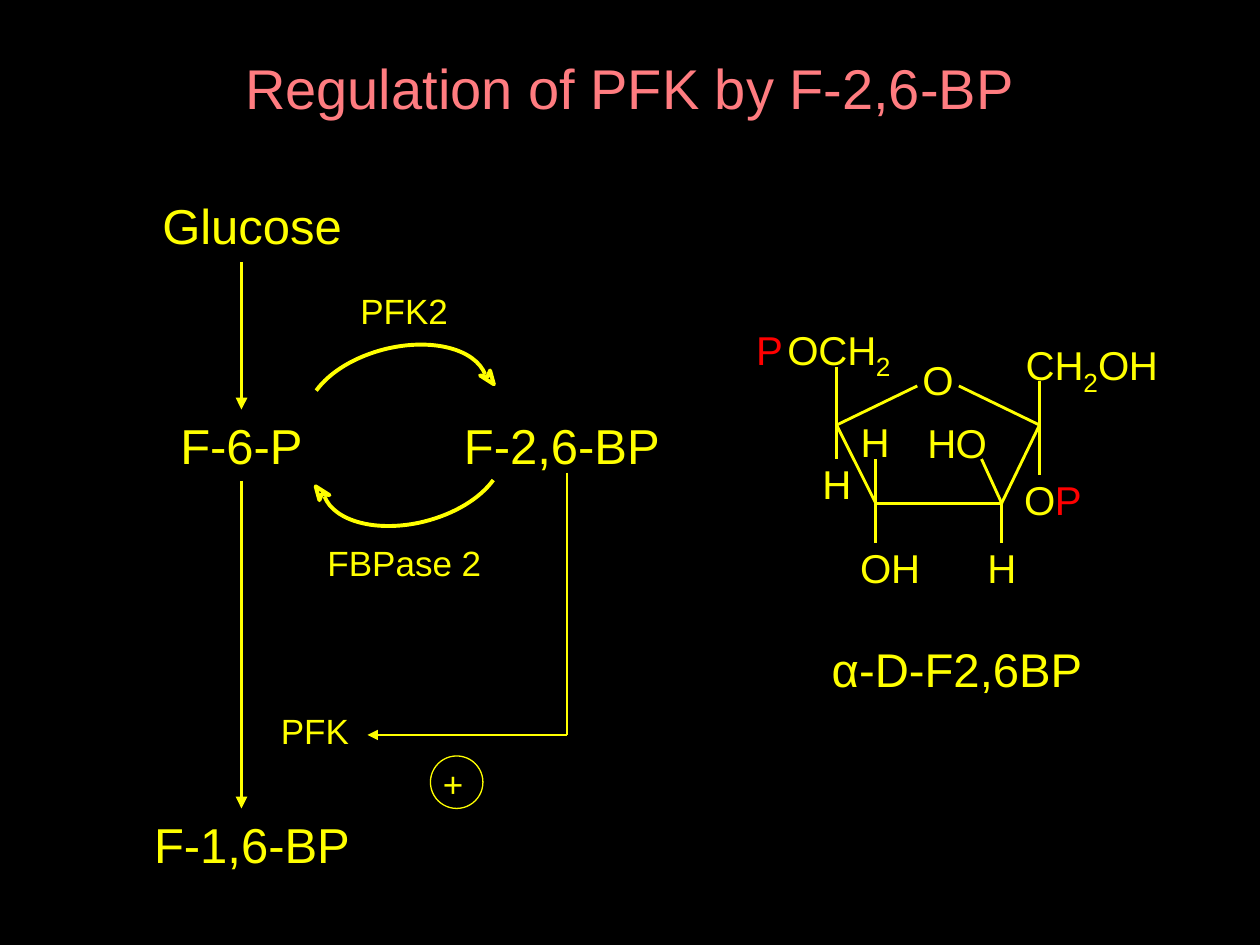
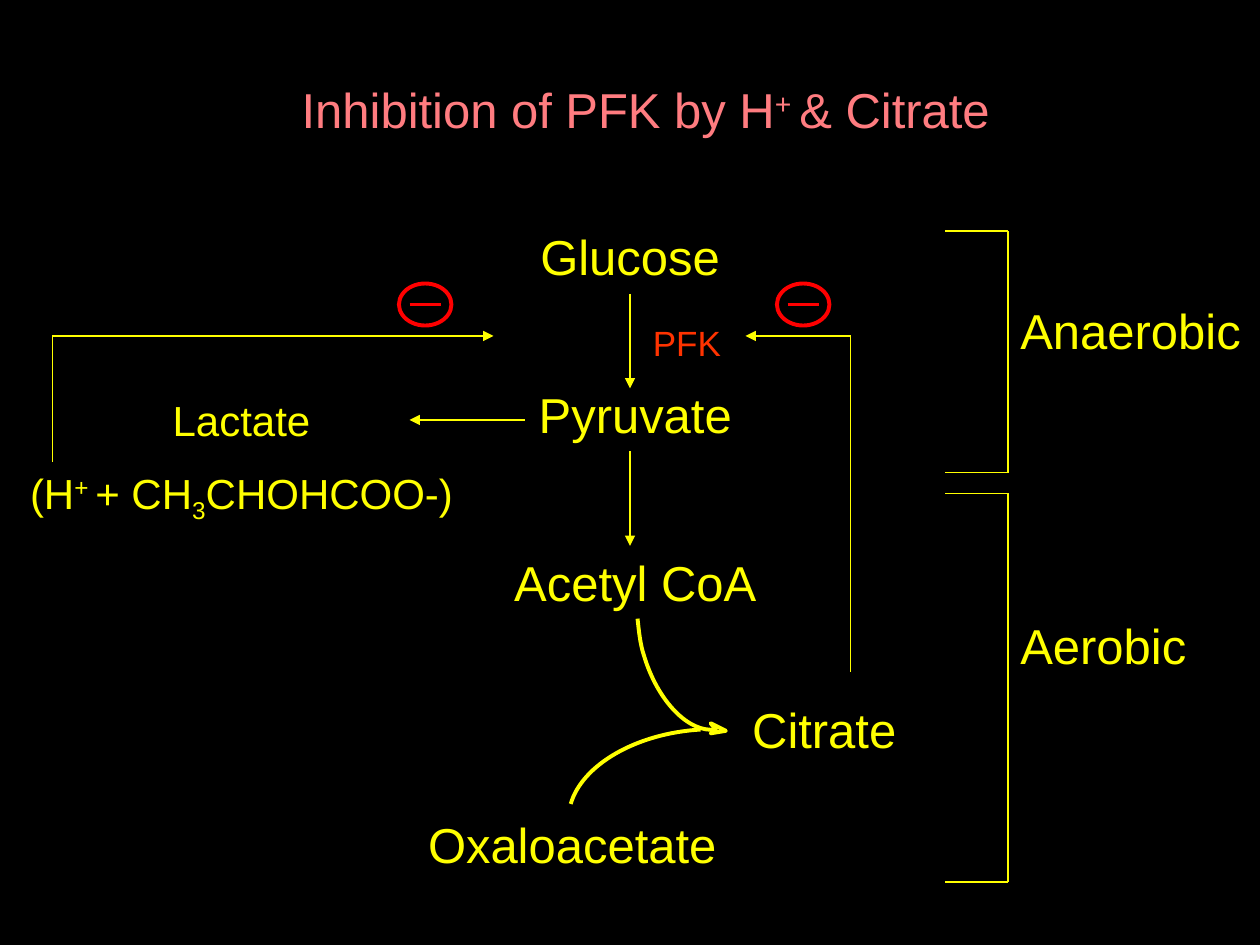
from lxml import etree
from pptx import Presentation
from pptx.dml.color import RGBColor
from pptx.enum.shapes import MSO_CONNECTOR, MSO_SHAPE
from pptx.enum.text import PP_ALIGN
from pptx.oxml.ns import qn
from pptx.util import Inches, Pt

LEFT, MID = PP_ALIGN.LEFT, PP_ALIGN.CENTER
STRAIGHT, OVAL = MSO_CONNECTOR.STRAIGHT, MSO_SHAPE.OVAL
TOP, BOTTOM = 0, 2
CELL = Inches(1) // 12
FONT = "Arial"
HUES = {"back": "000000", "ink": "FFFF00", "title": "FF7C80",
        "red": "FF0000", "flame": "FF3300"}
THIN, BOND, BOLD = 0.75, 1.63, 2.25
BIG, SMALL, ATOM = 28, 20, 23
SUP, SUB = 30, -25
WIDTHS = {"O": 24.5, "C": 23, "H": 22.5, "P": 21, "2": 12}


def hue(name):
    return RGBColor.from_string(HUES[name])


def stroke(line, color, weight):
    line.color.rgb = hue(color)
    line.width = Pt(weight)


class Pane:
    def __init__(self, slide, box, cols=None, rows=None):
        col, row, wide, high = box
        self.shapes = slide.shapes
        self.left, self.top = col * CELL, row * CELL
        self.dx = wide * CELL / (cols or wide)
        self.dy = high * CELL / (rows or high)

    def spot(self, x, y):
        return round(self.left + x * self.dx), round(self.top + y * self.dy)

    def text(self, x, y, wide, paras, size=BIG, color="ink", align=MID, pad=True, gap=0):
        inset = Inches(0.05) if pad else 0
        paras = [paras] if isinstance(paras, str) else paras
        high = round(len(paras) * Pt(size * 1.2) + 2 * inset + Pt(gap))
        box = self.shapes.add_textbox(*self.spot(x, y), round(wide * self.dx), high)
        frame = box.text_frame
        frame.word_wrap = pad
        frame.margin_top = frame.margin_bottom = inset
        frame.margin_left = frame.margin_right = 2 * inset
        for num, runs in enumerate(paras):
            para = frame.add_paragraph() if num else frame.paragraphs[0]
            para.alignment = align
            para.space_before = Pt(gap if num else 0)
            for words, base in [(runs, 0)] if isinstance(runs, str) else runs:
                run = para.add_run()
                run.text = words
                run.font.name, run.font.size = FONT, Pt(size)
                run.font.color.rgb = hue(color)
                if base:
                    run.font._element.set("baseline", str(base * 1000))
        return box

    def line(self, start, end, weight=THIN, color="ink", arrow=False):
        link = self.shapes.add_connector(STRAIGHT, *self.spot(*start), *self.spot(*end))
        stroke(link.line, color, weight)
        if arrow:
            etree.SubElement(link.line._get_or_add_ln(), qn("a:tailEnd"), type="triangle")
        etree.SubElement(link._element.spPr, qn("a:effectLst"))
        return link

    def route(self, points, arrow=False):
        last = len(points) - 2
        for num, (start, end) in enumerate(zip(points, points[1:])):
            self.line(start, end, arrow=arrow and num == last)

    def ring(self, x, y, wide, high, color="ink", weight=THIN):
        ring = self.shapes.add_shape(OVAL, *self.spot(x, y),
                                     round(wide * self.dx), round(high * self.dy))
        ring.shadow.inherit = False
        ring.fill.background()
        stroke(ring.line, color, weight)

    def minus(self, x, y):
        self.line((x + 1, y + 2), (x + 4, y + 2), BOLD, "red")
        self.ring(x, y, 5, 4, "red", BOLD)

    def trace(self, points, close):
        spots = [self.spot(*point) for point in points]
        pen = self.shapes.build_freeform(*spots[0])
        pen.add_line_segments(spots[1:], close=close)
        form = pen.convert_to_shape()
        form.shadow.inherit = False
        stroke(form.line, "ink", BOLD)
        return form

    def curve(self, points):
        form = self.trace(points, False)
        form.fill.background()
        node = form._element.xpath(".//a:path")[0]
        legs = list(node)[1:]
        for num in range(0, len(legs), 3):
            bend = etree.SubElement(node, qn("a:cubicBezTo"))
            for leg in legs[num:num + 3]:
                bend.append(leg[0])
                node.remove(leg)

    def head(self, points):
        form = self.trace(points, True)
        form.fill.solid()
        form.fill.fore_color.rgb = hue("back")

    def atoms(self, x, y, marks):
        boxes = []
        for mark in marks:
            low = mark == "2"
            boxes.append(self.text(x, y + 20 * low, WIDTHS[mark], mark, 15 if low else ATOM,
                                   "red" if mark == "P" else "ink", pad=False))
            x += WIDTHS[mark]
        return boxes


def start(deck, box, runs, size):
    slide = deck.slides.add_slide(deck.slide_layouts[6])
    fill = slide.background.fill
    fill.solid()
    fill.fore_color.rgb = hue("back")
    col, row, wide = box
    Pane(slide, (col, row, wide, 8)).text(0, 0, wide, [runs], size, "title")
    return slide


def pathway(slide, box):
    pane = Pane(slide, box)
    pane.text(0, 0, 38, "Glucose")
    first = pane.line((18, 7), (18, 21), BOLD, arrow=True)
    sugar = pane.text(9, 21, 18, "F-6-P")
    pane.text(35, 21, 27, "F-2,6-BP")
    pane.text(25, 9, 17, "PFK2", SMALL)
    second = pane.line((18, 28), (18, 59), BOLD, arrow=True)
    first.end_connect(sugar, TOP)
    second.begin_connect(sugar, BOTTOM)
    pane.text(4, 59, 30, "F-1,6-BP")
    pane.text(25, 33, 21, "FBPase 2", SMALL, align=LEFT)
    pane.text(15, 49, 20, "PFK", SMALL)
    pane.route([(49, 27), (49, 52), (30, 52)], arrow=True)
    pane.text(36, 54, 6, "+", SMALL, align=LEFT)
    pane.ring(36, 54, 5, 5)


def cycle(slide, box):
    pane = Pane(slide, box, 150, 200)
    bend = [(135, 47), (127, 27), (93, 18), (56, 27), (32, 33), (12, 45), (1, 60)]
    tip = [(131, 48), (142, 55), (139, 44), (137, 49)]
    pane.curve(bend)
    pane.head(tip)
    pane.curve([(142.5 - x, 191 - y) for x, y in bend])
    pane.head([(142.5 - x, 191 - y) for x, y in tip])


def sugar_ring(slide, box):
    pane = Pane(slide, box, 325, 300)
    west, east, south_w, south_e = (64, 79), (225, 79), (95, 141), (195, 141)
    pane.atoms(0, 0, "P")
    pane.atoms(25, 0, "OCH2")
    pane.atoms(132, 24, "O")
    pane.atoms(214, 12, "CH2OH")
    pane.atoms(83, 73, "H")
    pane.atoms(136, 74, "HO")
    bonds = [(south_w, south_e), (south_e, east), (east, (161, 48)),
             ((128, 48), west), (west, south_w), (west, (64, 33)),
             (south_w, (95, 106)), (south_e, (179, 106)), (east, (225, 44))]
    for near, far in bonds:
        pane.line(near, far, BOND)
    groups = [(west, 52.75, 106, "H"), (south_w, 82.75, 173, "OH"),
              (south_e, 183.75, 173, "H"), (east, 212.75, 119, "OP")]
    for node, x, y, marks in groups:
        mark = pane.atoms(x, y, marks)[0]
        pane.line(node, (node[0], y), BOND).end_connect(mark, TOP)
    pane.text(59, 250, 201, "α-D-F2,6BP", 27, pad=False)


def chain(slide, box):
    pane = Pane(slide, box)
    pane.text(0, 0, 46, "Glucose")
    pane.text(24, 9, 17, "PFK", SMALL, "flame", LEFT)
    pane.text(12, 15, 23, "Pyruvate")
    pane.text(9, 31, 29, "Acetyl CoA")
    pane.text(28, 45, 27, "Citrate")
    pane.text(0, 56, 35, "Oxaloacetate")
    for row in (7, 22):
        pane.line((23, row), (23, row + 9), arrow=True)


def merge(slide, box):
    pane = Pane(slide, box, 150, 200)
    pane.curve([(118, 104), (97, 107), (72, 82), (61, 45), (58, 36), (57, 25), (56, 16)])
    pane.head([(114, 99), (126, 105), (114, 107), (118, 104)])
    pane.curve([(3, 163), (12, 132), (55, 107), (106, 104)])


def acid_loop(slide, box):
    pane = Pane(slide, box)
    acid = [("(H", 0), ("+ ", SUP), ("+ CH", 0), ("3", SUB), ("CHOHCOO-)", 0)]
    pane.text(0, 10, 46, ["Lactate", acid], 24, gap=12.5)
    pane.line((50, 13), (39, 13), arrow=True)
    pane.route([(5, 17), (5, 5), (47, 5)], arrow=True)
    pane.minus(38, 0)


def citrate_loop(slide, box):
    pane = Pane(slide, box)
    pane.route([(10, 37), (10, 5), (0, 5)], arrow=True)
    pane.minus(3, 0)


def phase(slide, box, name, row):
    pane = Pane(slide, box)
    wide, high = box[2:]
    pane.route([(0, 0), (wide, 0), (wide, high), (0, high)])
    pane.text(wide, row, 24, name, align=LEFT)


def main():
    deck = Presentation()
    deck.slide_width, deck.slide_height = 120 * CELL, 90 * CELL

    slide = start(deck, (6, 4.5, 108), "Regulation of PFK by F-2,6-BP", 32)
    pathway(slide, (5, 18, 62, 66))
    cycle(slide, (30, 30, 18, 24))
    sugar_ring(slide, (72, 31, 39, 36))

    title = [("Inhibition of PFK by H", 0), ("+ ", SUP), ("& Citrate", 0)]
    slide = start(deck, (17, 7, 89), title, BIG)
    chain(slide, (37, 21, 46, 63))
    merge(slide, (54, 57, 18, 24))
    acid_loop(slide, (0, 27, 50, 24))
    citrate_loop(slide, (71, 27, 12, 37))
    phase(slide, (90, 22, 6, 23), "Anaerobic", 6)
    phase(slide, (90, 47, 6, 37), "Aerobic", 11)
    deck.save("out.pptx")


if __name__ == "__main__":
    main()
